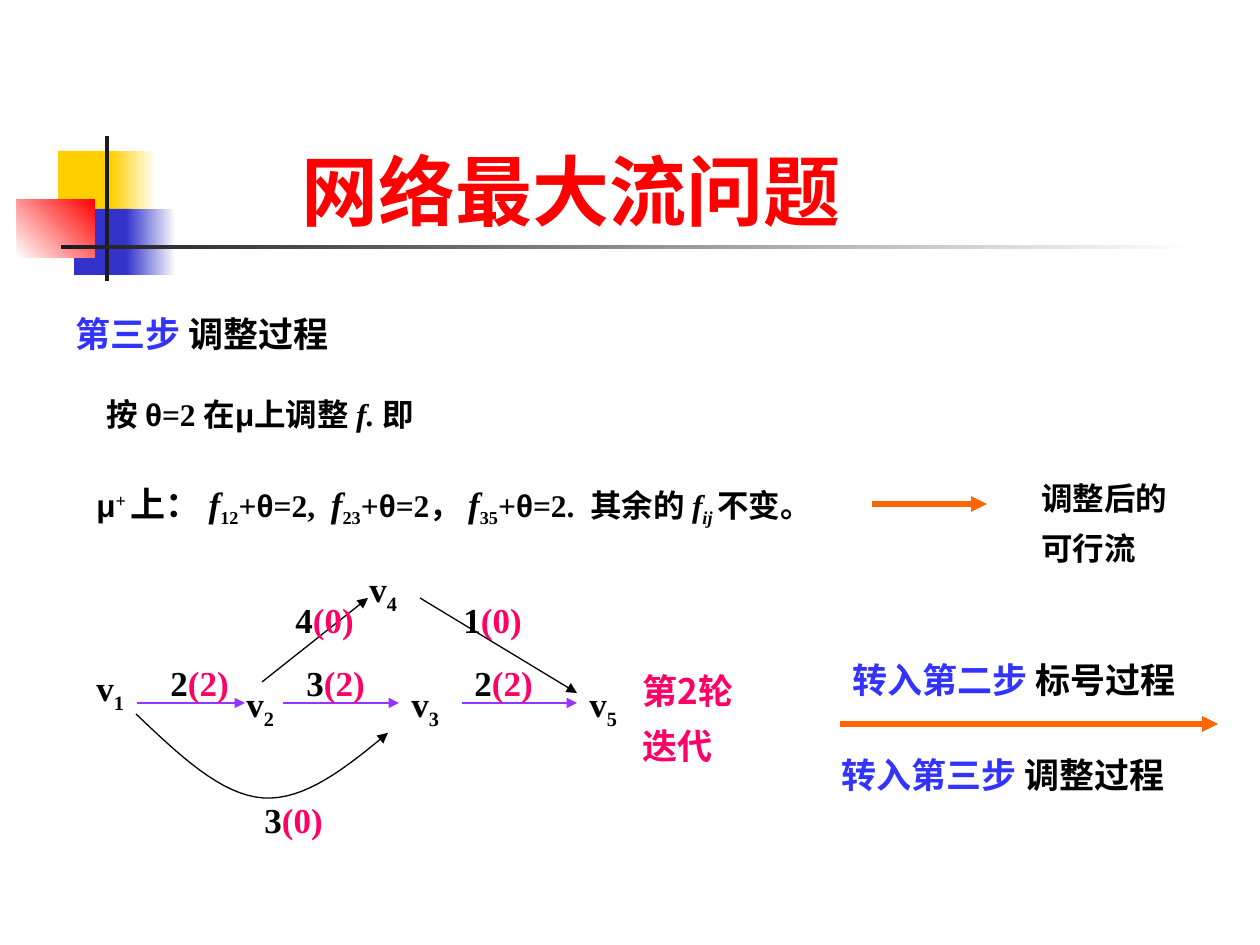
from lxml import etree
from pptx import Presentation
from pptx import util as u
from pptx.dml.color import RGBColor
from pptx.enum import shapes, text
from pptx.oxml.ns import qn

SCALE = 914400 / 126
THEME = dict(
    red="FF0000", yellow="FFCF01", navy="3333CC", white="FFFFFF", dark="1C1C1C",
    black="000000", blue="3333FF", pink="FF0066", orange="FF6600", violet="9933FF",
    head=44, gap=40, big=20, mid=18, serif="Times New Roman", sans="Arial",
    han="Noto Sans CJK SC",
)


def style(color="black", size="big", font="serif", base=0, **extra):
    return dict(color=color, base=base,
                font=dict(name=THEME[font], size=u.Pt(THEME[size]), bold=True, **extra))


STYLES = {
    "head": style("red", "head"),
    "gap": style("red", "gap"),
    "step": style("blue", font="han"),
    "act": style(font="han"),
    "round": style("pink", font="han"),
    "node": style(),
    "sub": style(base=-25),
    "flow": style("pink"),
    "text": style(size="mid"),
    "greek": style(size="mid", font="sans"),
    "plus": style(size="mid", base=30),
    "var": style(italic=True),
    "small": style(size="mid", italic=True),
    "index": style(size="mid", base=-25),
    "pair": style(size="mid", base=-25, italic=True),
}

TITLE = (273, 116, 620, 126), [(" ", "gap"), ("网络最大流问题", "head")]

# box, colour or (from, to, angle)
DECOR = [
    ((58, 151, 60, 66), "yellow"),
    ((111, 151, 45, 66), ("yellow", "white", 0)),
    ((74, 209, 58, 66), "navy"),
    ((126, 209, 50, 66), ("navy", "white", 0)),
    ((17, 199, 78, 59), ("white", "red", 45)),
    ((105, 136, 4, 145), "dark"),
    ((61, 245, 1134, 4), ("dark", "white", 0)),
]

# box, paragraphs of (words, style)
NOTES = [
    ((84, 462, 766, 74), [[
        ("μ", "greek"), ("+ ", "plus"), ("上： ", "node"),
        ("f", "var"), ("12", "index"), ("+", "text"), ("θ", "greek"), ("=2,  ", "text"),
        ("f", "var"), ("23", "index"), ("+", "text"), ("θ", "greek"), ("=2， ", "text"),
        ("f", "var"), ("35", "index"), ("+", "text"), ("θ", "greek"),
        ("=2.  其余的 ", "text"), ("f", "small"), ("ij ", "pair"), ("不变。", "text")]]),
    ((63, 294, 336, 74), [[("第三步", "step"), (" 调整过程", "act")]]),
    ((1029, 462, 179, 116), [[("调整后的", "text")], [("可行流", "text")]]),
    ((840, 640, 378, 74), [[("转入第二步", "step"), (" 标号过程", "act")]]),
    ((829, 735, 378, 74), [[("转入第三步", "step"), (" 调整过程", "act")]]),
    ((630, 651, 136, 136), [[("第2轮", "round")], [("迭代", "round")]]),
    ((94, 378, 357, 74), [[
        ("按 ", "text"), ("θ", "greek"), ("=2 在", "text"), ("μ", "greek"),
        ("上调整 ", "text"), ("f. ", "small"), ("即", "text")]]),
]

NODES = [(1, 84, 656, 81), (2, 234, 672, 81), (3, 399, 672, 81),
         (4, 357, 557, 81), (5, 577, 672, 59)]

# capacity, flow, left, top, width
LABELS = [(2, 2, 158, 651, 105), (3, 0, 252, 788, 95), (3, 2, 294, 651, 95),
          (4, 0, 283, 588, 105), (1, 0, 451, 588, 95), (2, 2, 462, 651, 105)]

# ends, colour, weight
ARROWS = [
    ((872, 504, 987, 504), "orange", 3),
    ((840, 724, 1218, 724), "orange", 3),
    ((137, 703, 245, 703), "violet", 1),
    ((283, 703, 399, 703), "violet", 1),
    ((462, 703, 577, 703), "violet", 1),
    ((262, 682, 368, 598), "black", 0.75),
    ((420, 598, 577, 693), "black", 0.75),
]

CURVE = [[(136, 714), (179, 755), (221, 795), (263, 798)],
         [(263, 798), (305, 801), (347, 767), (388, 733)]]


def px(*vals):
    return [u.Emu(round(v * SCALE)) for v in vals]


def rgb(name):
    return RGBColor.from_string(THEME[name])


def write(para, runs):
    for words, key in runs:
        run, look = para.add_run(), STYLES[key]
        run.text = words
        for name, val in look["font"].items():
            setattr(run.font, name, val)
        run.font.color.rgb = rgb(look["color"])
        props = run.font._element
        if look["base"]:
            props.set("baseline", str(look["base"] * 1000))
        props.find(qn("a:latin")).addnext(
            etree.Element(qn("a:ea"), typeface=THEME["han"]))


def add_text(slide, box, paras, space):
    frame = slide.shapes.add_textbox(*px(*box)).text_frame
    frame.word_wrap = True
    for i, runs in enumerate(paras):
        para = frame.add_paragraph() if i else frame.paragraphs[0]
        para.alignment = text.PP_ALIGN.JUSTIFY
        para.line_spacing = space
        props = para._p.get_or_add_pPr()
        props.set("marL", str(u.Inches(0.5)))
        props.set("indent", str(-u.Inches(0.5)))
        write(para, runs)


def add_block(slide, box, paint):
    block = slide.shapes.add_shape(shapes.MSO_SHAPE.RECTANGLE, *px(*box))
    block.shadow.inherit = False
    block.line.fill.background()
    if isinstance(paint, str):
        block.fill.solid()
        block.fill.fore_color.rgb = rgb(paint)
        return
    *ends, angle = paint
    block.fill.gradient()
    block.fill.gradient_angle = angle
    for stop, name in zip(block.fill.gradient_stops, ends):
        stop.color.rgb = rgb(name)


def point(shape, color, weight):
    """Style the outline and put an arrowhead at its end."""
    shape.line.color.rgb = rgb(color)
    shape.line.width = u.Pt(weight)
    etree.SubElement(shape.line._get_or_add_ln(), qn("a:tailEnd"), type="triangle")


def add_arrow(slide, ends, color, weight):
    arrow = slide.shapes.add_connector(shapes.MSO_CONNECTOR.STRAIGHT, *px(*ends))
    point(arrow, color, weight)
    etree.SubElement(arrow._element.spPr, qn("a:effectLst"))


def bezier(ctrl, t):
    parts = [(1 - t) ** 3, 3 * t * (1 - t) ** 2, 3 * t * t * (1 - t), t ** 3]
    return tuple(sum(k * p[axis] for k, p in zip(parts, ctrl)) for axis in (0, 1))


def add_curve(slide, curve, steps=16):
    dots = [bezier(ctrl, i / steps) for ctrl in curve for i in range(1, steps + 1)]
    pen = slide.shapes.build_freeform(*px(*curve[0][0]))
    pen.add_line_segments([px(*dot) for dot in dots], close=False)
    arc = pen.convert_to_shape()
    arc.shadow.inherit = False
    arc.fill.background()
    point(arc, "black", 0.75)


def add_title(slide, box, runs):
    title = slide.shapes.title
    for name, val in zip(("left", "top", "width", "height"), px(*box)):
        setattr(title, name, val)
    frame = title.text_frame
    frame.auto_size = text.MSO_AUTO_SIZE.NONE
    frame.vertical_anchor = text.MSO_ANCHOR.BOTTOM
    frame.paragraphs[0].alignment = text.PP_ALIGN.LEFT
    write(frame.paragraphs[0], runs)


def main():
    deck = Presentation()
    deck.slide_width, deck.slide_height = px(1260, 945)
    slide = deck.slides.add_slide(deck.slide_layouts[5])
    for box, paint in DECOR:
        add_block(slide, box, paint)
    add_title(slide, *TITLE)
    for box, paras in NOTES:
        add_text(slide, box, paras, 1.3)
    for arrow in ARROWS:
        add_arrow(slide, *arrow)
    add_curve(slide, CURVE)
    for num, left, top, width in NODES:
        add_text(slide, (left, top, width, 74), [[("v", "node"), (str(num), "sub")]], 1.1)
    for cap, flow, left, top, width in LABELS:
        runs = [(str(cap), "node"), (f"({flow})", "flow")]
        add_text(slide, (left, top, width, 52), [runs], 1.1)
    deck.save("out.pptx")


if __name__ == "__main__":
    main()
